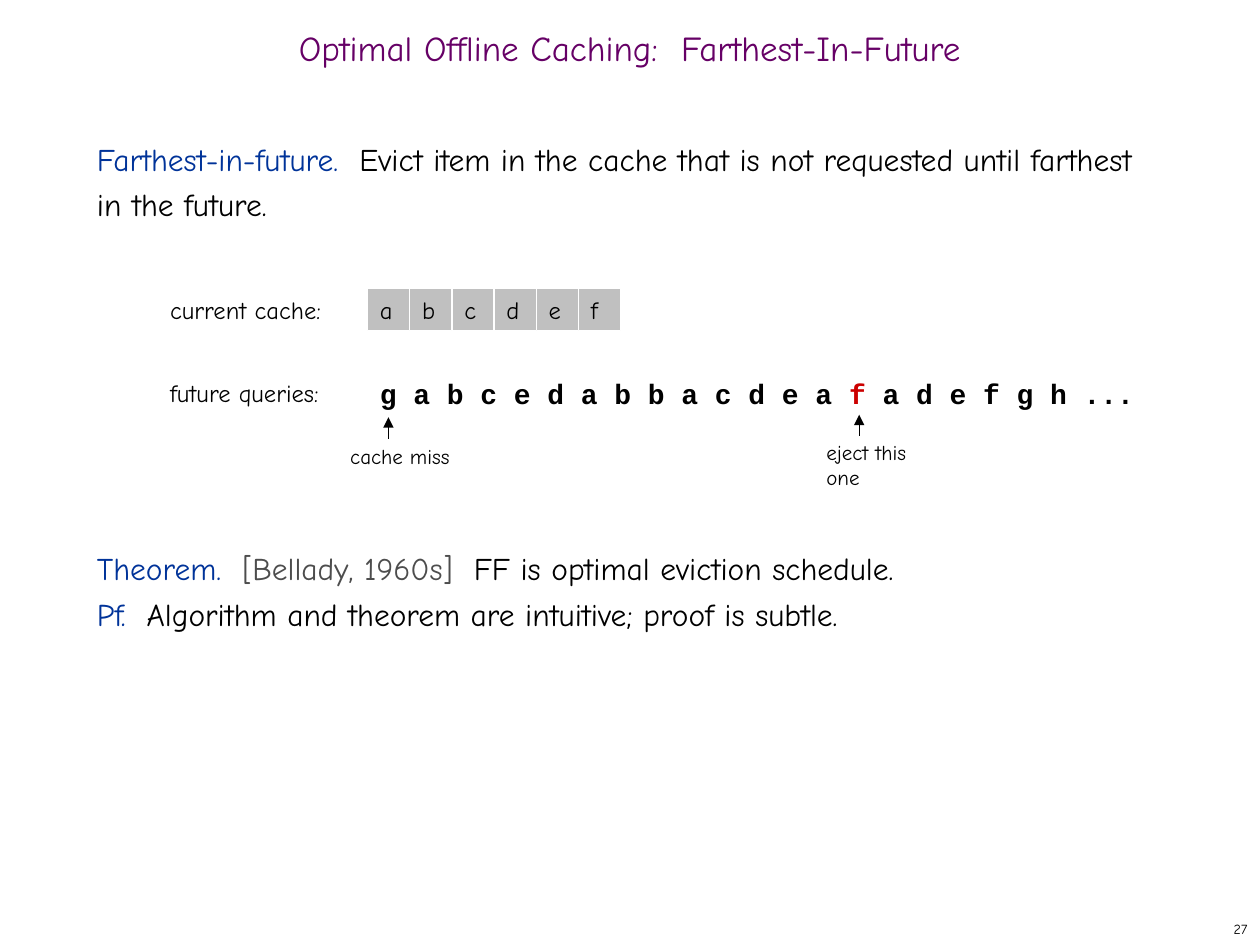
from pptx import Presentation
from pptx.dml.color import RGBColor
from pptx.enum.shapes import MSO_CONNECTOR, MSO_SHAPE
from pptx.enum.text import MSO_ANCHOR, MSO_AUTO_SIZE, PP_ALIGN
from pptx.oxml.ns import qn
from pptx.util import Cm, Pt

RECT, STRAIGHT = MSO_SHAPE.RECTANGLE, MSO_CONNECTOR.STRAIGHT
TOP, MIDDLE = MSO_ANCHOR.TOP, MSO_ANCHOR.MIDDLE
LEFT, CENTER, RIGHT = PP_ALIGN.LEFT, PP_ALIGN.CENTER, PP_ALIGN.RIGHT
NO_FIT = MSO_AUTO_SIZE.NONE

BLACK = RGBColor(0x00, 0x00, 0x00)
WHITE = RGBColor(0xFF, 0xFF, 0xFF)
PURPLE = RGBColor(0x66, 0x00, 0x66)
BLUE = RGBColor(0x00, 0x33, 0x99)
DARK_GRAY = RGBColor(0x4D, 0x4D, 0x4D)
CELL_GRAY = RGBColor(0xC0, 0xC0, 0xC0)
RED = RGBColor(0xCC, 0x00, 0x00)

TEXT_FONT, QUERY_FONT = "Comic Neue", "Courier New"
ROW_HEIGHT = 0.85
LABEL_WIDTH = 3.6


def apply(target, formats):
    for name, value in formats.items():
        setattr(target, name, value)


def write(paragraph, runs, size, font=TEXT_FONT, bold=False, **paragraph_formats):
    apply(paragraph, paragraph_formats)
    for text, color in runs:
        run = paragraph.add_run()
        run.text = text
        apply(run.font, {"name": font, "size": Pt(size), "bold": bold})
        run.font.color.rgb = color


def place(shape, left, top, width, height):
    apply(shape, {"left": Cm(left), "top": Cm(top),
                  "width": Cm(width), "height": Cm(height)})


def add_title(slide, box):
    title = slide.shapes.title
    place(title, *box)
    apply(title.text_frame, {"vertical_anchor": MIDDLE, "auto_size": NO_FIT})
    write(title.text_frame.paragraphs[0],
          [("Optimal Offline Caching:  Farthest-In-Future", PURPLE)],
          20, alignment=CENTER, line_spacing=0.7)


def add_body(slide, box):
    body = slide.placeholders[1]
    place(body, *box)
    frame = body.text_frame
    apply(frame, {"vertical_anchor": TOP, "auto_size": NO_FIT})
    line = Pt(26)
    # Seven lines are left free for the cache diagram
    statements = [
        (0, [("Farthest-in-future.  ", BLUE),
             ("Evict item in the cache that is not requested until farthest "
              "in the future.", BLACK)]),
        (7 * line, [("Theorem.  ", BLUE), ("[Bellady, 1960s]  ", DARK_GRAY),
                    ("FF is optimal eviction schedule.", BLACK)]),
        (0, [("Pf.  ", BLUE),
             ("Algorithm and theorem are intuitive; proof is subtle.", BLACK)]),
    ]
    for index, (space, runs) in enumerate(statements):
        paragraph = frame.add_paragraph() if index else frame.paragraphs[0]
        properties = paragraph._p.get_or_add_pPr()
        properties.set("marL", "0")
        properties.set("indent", "0")
        properties.append(properties.makeelement(qn("a:buNone"), {}))
        write(paragraph, runs, 18, alignment=LEFT, line_spacing=line,
              space_before=space, space_after=0)


def add_cell(slide, box, runs, size=14, fill=None, **text_formats):
    cell = slide.shapes.add_shape(RECT, *map(Cm, box))
    cell.shadow.inherit = False
    if fill is None:
        cell.fill.background()
    else:
        cell.fill.solid()
        cell.fill.fore_color.rgb = fill
    cell.line.color.rgb = WHITE
    cell.line.width = Pt(0.75)
    apply(cell.text_frame, {"word_wrap": False, "vertical_anchor": MIDDLE})
    write(cell.text_frame.paragraphs[0], runs, size, alignment=LEFT, **text_formats)


def add_callout(slide, tip_x, tip_y, caption, caption_left, caption_top, caption_width):
    # Arrow pointing up at the query
    arrow = slide.shapes.add_connector(
        STRAIGHT, Cm(tip_x), Cm(tip_y + 0.43), Cm(tip_x), Cm(tip_y))
    arrow.line.color.rgb = BLACK
    arrow.line.width = Pt(0.75)
    outline = arrow.line._get_or_add_ln()
    outline.append(outline.makeelement(qn("a:tailEnd"), {"type": "triangle"}))
    properties = arrow._element.spPr
    properties.append(properties.makeelement(qn("a:effectLst"), {}))

    # Caption under the arrow
    note = slide.shapes.add_textbox(
        Cm(caption_left), Cm(caption_top), Cm(caption_width), Cm(0.51))
    apply(note.text_frame, {"word_wrap": False, "margin_left": 0, "margin_top": 0,
                            "margin_right": 0, "margin_bottom": 0})
    write(note.text_frame.paragraphs[0], [(caption, BLACK)], 12)


def add_cache_diagram(slide, left, top, width):
    cells_left = left + 4.23
    queries_top = top + 1.68

    # Row labels
    for label, row_top in (("current cache:", top), ("future queries:", queries_top)):
        add_cell(slide, (left, row_top, LABEL_WIDTH, ROW_HEIGHT), [(label, BLACK)])

    # Cache contents
    for index, item in enumerate("abcdef"):
        add_cell(slide, (cells_left + index * ROW_HEIGHT, top, ROW_HEIGHT, ROW_HEIGHT),
                 [(item, BLACK)], fill=CELL_GRAY)

    # Query sequence
    add_cell(slide, (cells_left, queries_top, left + width - cells_left, ROW_HEIGHT),
             [("g a b c e d a b b a c d e a ", BLACK), ("f", RED),
              (" a d e f g h ...", BLACK)],
             size=16, font=QUERY_FONT, bold=True)

    # Marked queries
    add_callout(slide, left + 4.65, top + 2.59,
                "cache miss", left + 3.88, top + 3.12, 2.01)
    add_callout(slide, left + 14.14, top + 2.54,
                "eject this one", left + 13.48, top + 3.04, 2.41)


def add_page_number(slide, box):
    number = slide.shapes.add_textbox(*map(Cm, box))
    apply(number.text_frame, {"word_wrap": False, "vertical_anchor": MIDDLE})
    write(number.text_frame.paragraphs[0], [("27", BLACK)], 8, alignment=RIGHT)


def main():
    presentation = Presentation()
    apply(presentation, {"slide_width": Cm(25.4), "slide_height": Cm(19.05)})
    slide = presentation.slides.add_slide(presentation.slide_layouts[1])
    add_page_number(slide, (20.11, 18.41, 5.29, 0.64))
    add_title(slide, (0, 0.43, 25.4, 1.27))
    add_body(slide, (1.7, 2.54, 21.8, 15.03))
    add_cache_diagram(slide, left=3.18, top=5.82, width=20.95)
    presentation.save("out.pptx")


if __name__ == "__main__":
    main()
